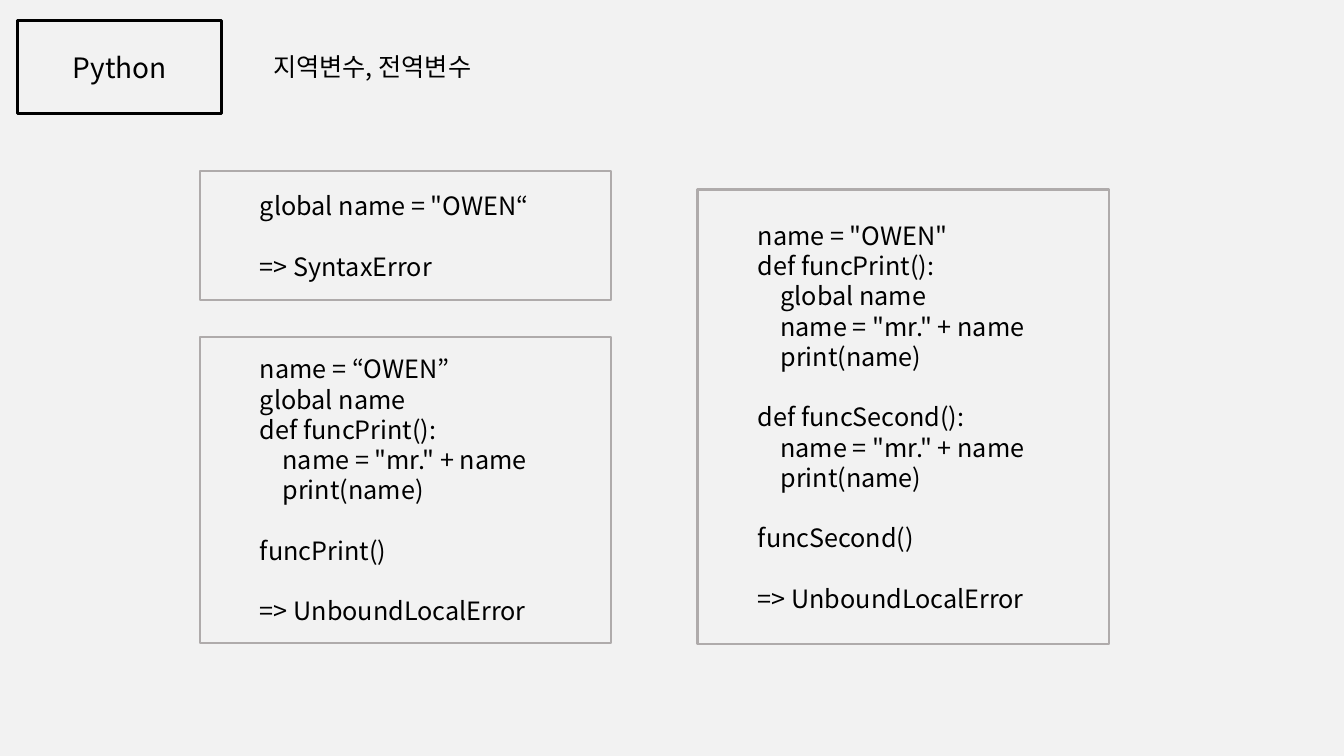
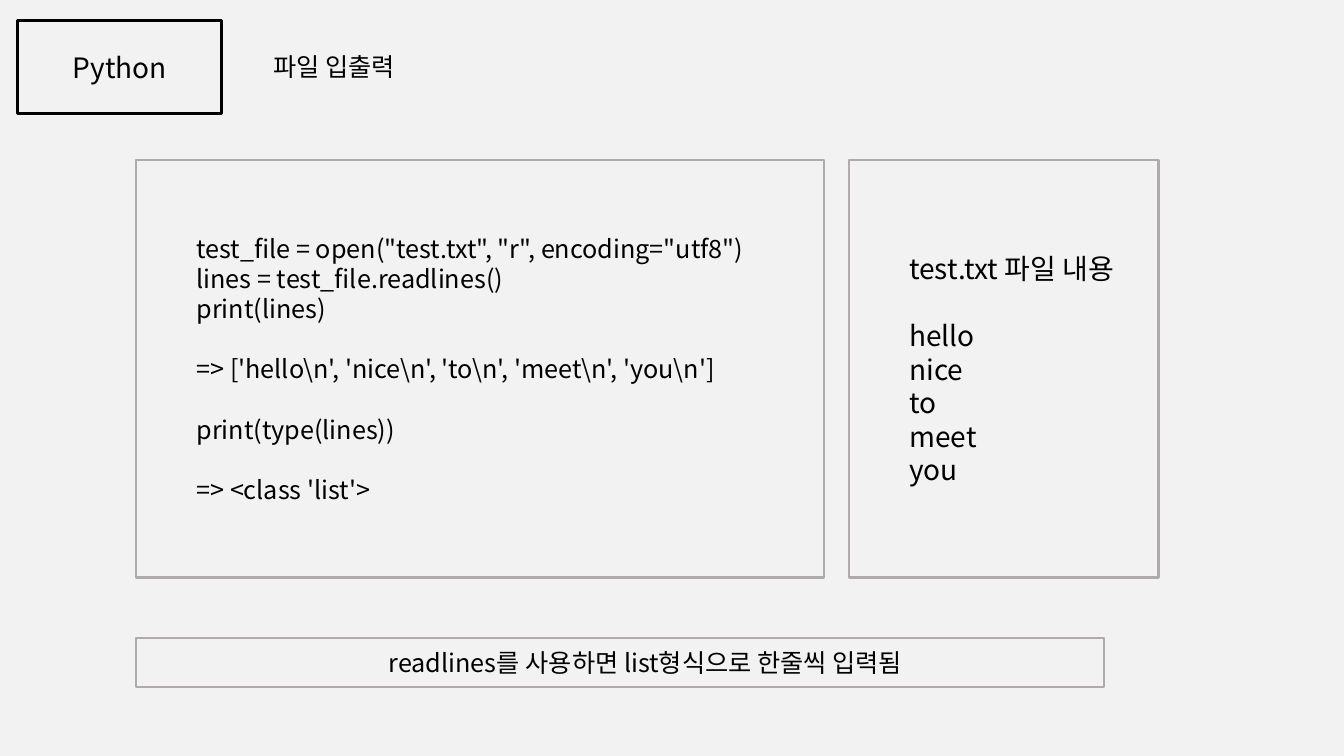
from dataclasses import dataclass
from lxml.etree import SubElement
from pptx import Presentation
from pptx.dml.color import RGBColor
from pptx.enum.shapes import MSO_SHAPE
from pptx.enum.text import MSO_ANCHOR, MSO_AUTO_SIZE, PP_ALIGN
from pptx.oxml.ns import qn
from pptx.util import Inches, Pt


@dataclass(frozen=True)
class Theme:
    font: str = "Noto Sans CJK KR"
    background: str = "F2F2F2"
    ink: str = "000000"
    panel_line: str = "AFABAB"
    body: int = 18
    large: int = 20
    line_pitch: float = 1.2
    badge_weight: float = 2
    panel_weight: float = 1.5
    glow_weight: float = 0.75
    glow_alpha: int = 30
    indent: float = 0.5


THEME = Theme()
WIDTH, HEIGHT = Inches(13.33), Inches(7.5)

BADGE = "Python"
BADGE_FRAME = (1.28, 2.67, 15.23, 12.4)
BADGE_LABEL = (1.73, 6, 14.4, 5.87)
TITLE_AREA = (19.58, 6.13, 27.3, 5.33)

PANEL_LEFT, PANEL_WIDTH = 14.85, 30.6
FILE_LEFT, FILE_TOP, FILE_HEIGHT = 10.13, 21.2, 55.2

SLIDES = [
    {
        "title": "지역변수, 전역변수",
        "panels": [
            {
                "area": (PANEL_LEFT, 22.67, PANEL_WIDTH, 17.07),
                "blocks": [['global name = "OWEN“'], ["=> SyntaxError"]],
            },
            {
                "area": (51.9, 25.07, PANEL_WIDTH, 60.13),
                "blocks": [
                    [
                        'name = "OWEN"',
                        "def funcPrint():",
                        "    global name",
                        '    name = "mr." + name',
                        "    print(name)",
                    ],
                    [
                        "def funcSecond():",
                        '    name = "mr." + name',
                        "    print(name)",
                    ],
                    ["funcSecond()"],
                    ["=> UnboundLocalError"],
                ],
            },
            {
                "area": (PANEL_LEFT, 44.53, PANEL_WIDTH, 40.53),
                "blocks": [
                    [
                        "name = “OWEN”",
                        "global name",
                        "def funcPrint():",
                        '    name = "mr." + name',
                        "    print(name)",
                    ],
                    ["funcPrint()"],
                    ["=> UnboundLocalError"],
                ],
            },
        ],
    },
    {
        "title": "파일 입출력",
        "panels": [
            {
                "area": (FILE_LEFT, FILE_TOP, 51.16, FILE_HEIGHT),
                "blocks": [
                    [
                        'test_file = open("test.txt", "r", encoding="utf8")',
                        "lines = test_file.readlines()",
                        "print(lines)",
                    ],
                    [r"=> ['hello\n', 'nice\n', 'to\n', 'meet\n', 'you\n']"],
                    ["print(type(lines))"],
                    ["=> <class 'list'>"],
                ],
            },
            {
                "area": (63.17, FILE_TOP, 23.03, FILE_HEIGHT),
                "size": THEME.large,
                "blocks": [
                    ["test.txt 파일 내용"],
                    ["hello", "nice", "to", "meet", "you"],
                ],
            },
            {
                "area": (FILE_LEFT, 84.4, 72.02, 6.53),
                "align": PP_ALIGN.CENTER,
                "blocks": [["readlines를 사용하면 list형식으로 한줄씩 입력됨"]],
            },
        ],
    },
]


def place(area):
    left, top, width, height = area
    return [
        round(share * full / 100)
        for share, full in ((left, WIDTH), (top, HEIGHT), (width, WIDTH), (height, HEIGHT))
    ]


def add_run(paragraph, words, size):
    run = paragraph.add_run()
    run.text = words
    run.font.size = Pt(size)
    run.font.name = THEME.font
    run.font.color.rgb = RGBColor.from_string(THEME.ink)
    properties = run._r.get_or_add_rPr()
    SubElement(properties, qn("a:ea")).set("typeface", THEME.font)
    glow = SubElement(properties, qn("a:ln"))
    glow.set("w", str(Pt(THEME.glow_weight)))
    ink = SubElement(SubElement(glow, qn("a:solidFill")), qn("a:srgbClr"))
    ink.set("val", THEME.ink)
    SubElement(ink, qn("a:alpha")).set("val", str(THEME.glow_alpha * 1000))
    properties.insert(0, glow)


def add_frame(slide, area, color, weight):
    frame = slide.shapes.add_shape(MSO_SHAPE.RECTANGLE, *place(area))
    frame.shadow.inherit = False
    frame.fill.background()
    frame.line.color.rgb = RGBColor.from_string(color)
    frame.line.width = Pt(weight)
    return frame


def add_label(slide, area, words, size, align, anchor):
    label = slide.shapes.add_textbox(*place(area)).text_frame
    label.word_wrap = True
    label.auto_size = MSO_AUTO_SIZE.SHAPE_TO_FIT_TEXT
    label.vertical_anchor = anchor
    label.paragraphs[0].alignment = align
    add_run(label.paragraphs[0], words, size)


def add_panel(slide, area, blocks, size=THEME.body, align=PP_ALIGN.LEFT):
    content = add_frame(slide, area, THEME.panel_line, THEME.panel_weight).text_frame
    content.word_wrap = True
    content.vertical_anchor = MSO_ANCHOR.MIDDLE
    for block_index, block in enumerate(blocks):
        for line_index, words in enumerate(block):
            first = block_index == line_index == 0
            paragraph = content.paragraphs[0] if first else content.add_paragraph()
            paragraph.level = 1
            paragraph.alignment = align
            properties = paragraph._p.get_or_add_pPr()
            properties.set("marL", str(Inches(THEME.indent)))
            properties.set("indent", "0")
            if block_index and not line_index:
                paragraph.space_before = Pt(size * THEME.line_pitch)
            add_run(paragraph, words, size)


def add_header(slide, title):
    add_frame(slide, BADGE_FRAME, THEME.ink, THEME.badge_weight)
    add_label(slide, TITLE_AREA, title, THEME.body, PP_ALIGN.LEFT, MSO_ANCHOR.TOP)
    add_label(slide, BADGE_LABEL, BADGE, THEME.large, PP_ALIGN.CENTER, MSO_ANCHOR.MIDDLE)


def main():
    deck = Presentation()
    deck.slide_width, deck.slide_height = WIDTH, HEIGHT
    backdrop = deck.slide_master.background.fill
    backdrop.solid()
    backdrop.fore_color.rgb = RGBColor.from_string(THEME.background)
    for content in SLIDES:
        slide = deck.slides.add_slide(deck.slide_layouts[6])
        add_header(slide, content["title"])
        for panel in content["panels"]:
            add_panel(slide, **panel)
    deck.save("out.pptx")


if __name__ == "__main__":
    main()
